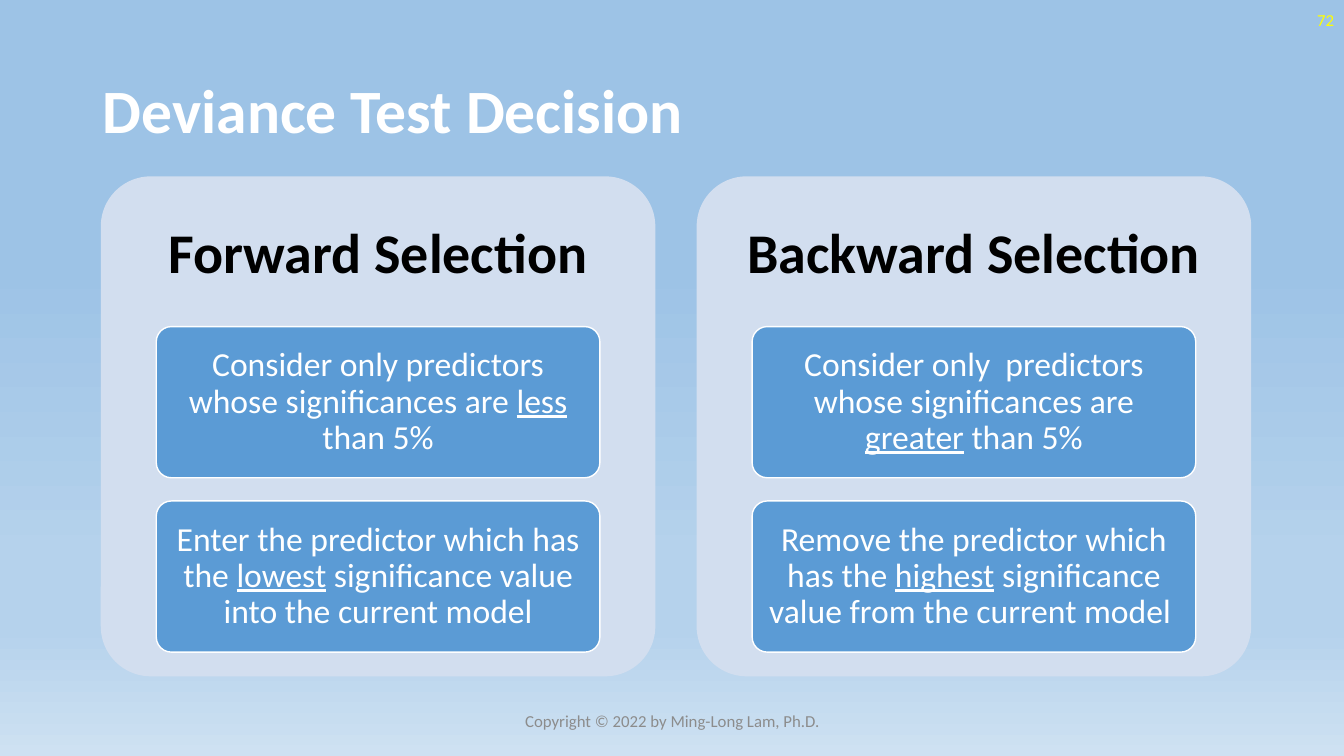
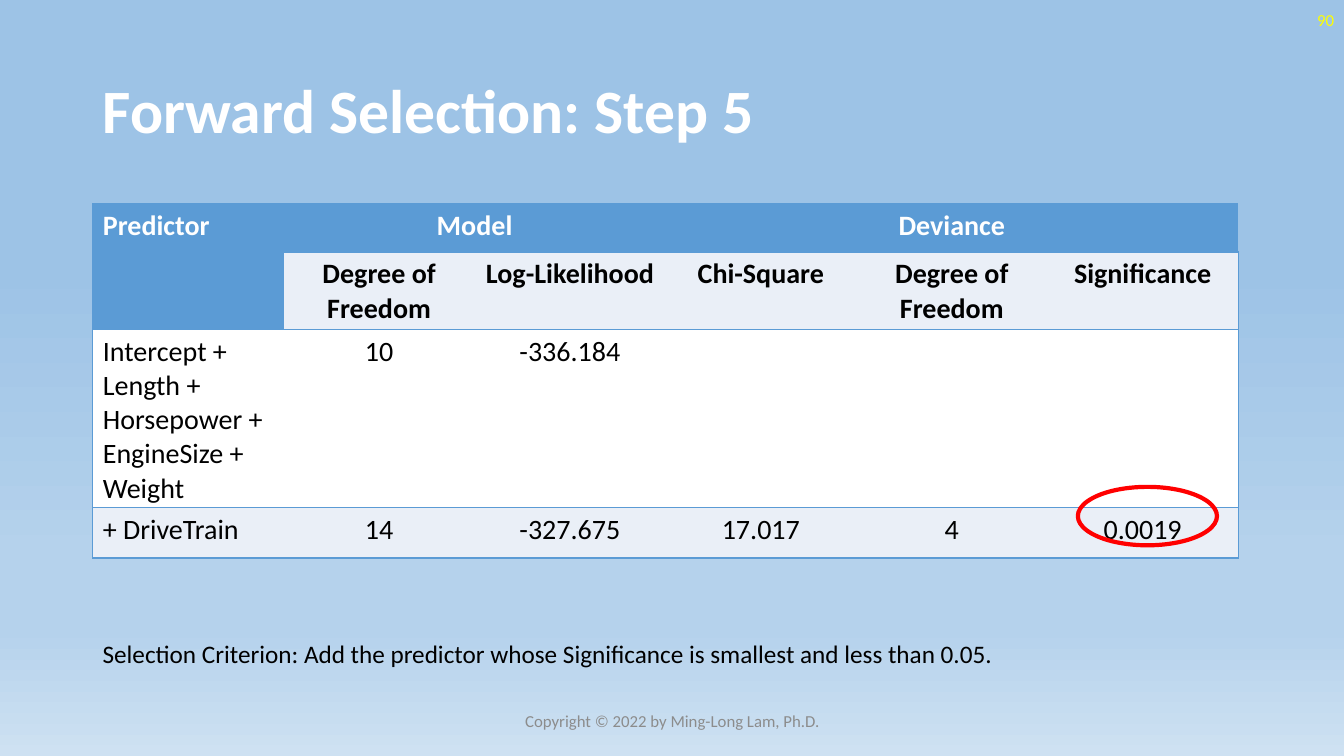
import pptx
import pptx.util
import pptx.dml.color
import pptx.enum.shapes
import pptx.enum.text
import pptx.oxml
import pptx.oxml.ns
import lxml.etree

Inches = pptx.util.Inches
Pt = pptx.util.Pt
qn = pptx.oxml.ns.qn
ALIGN = pptx.enum.text.PP_ALIGN
ANCHOR = pptx.enum.text.MSO_ANCHOR
SHAPE = pptx.enum.shapes.MSO_SHAPE

FONT = "Calibri"
COLORS = {
    "white": "FFFFFF", "black": "000000", "gray": "8C8C8C",
    "yellow": "FFFF00", "red": "FF0000",
    "blue": "5B9BD5", "panel": "D2DEEF", "band": "EAEFF7",
    "sky": "9DC3E6", "haze": "B5D2EC", "pale": "CEE1F2",
}
STOPS = [(35, "sky"), (74, "haze"), (83, "haze"), (100, "pale")]
FOOTER = "Copyright © 2022 by Ming-Long Lam, Ph.D."


def color(name):
    return pptx.dml.color.RGBColor.from_string(COLORS[name])


# Text
def add_run(para, text, size, tint, bold=False, under=False):
    run = para.add_run()
    run.text = text
    font = run.font
    font.name, font.size = FONT, Pt(size)
    font.bold, font.underline = bold, under
    font.color.rgb = color(tint)


def set_frame(frame, anchor, insets):
    frame.word_wrap = True
    frame.vertical_anchor = anchor
    left, top, right, bottom = [Inches(inset) for inset in insets]
    frame.margin_left, frame.margin_top = left, top
    frame.margin_right, frame.margin_bottom = right, bottom


def add_text(slide, box, text, size, tint, align=ALIGN.LEFT, bold=False,
             anchor=ANCHOR.MIDDLE):
    frame = slide.shapes.add_textbox(*map(Inches, box)).text_frame
    set_frame(frame, anchor, (0.1, 0.05, 0.1, 0.05))
    para = frame.paragraphs[0]
    para.alignment = align
    add_run(para, text, size, tint, bold)


# Shapes
def add_shape(slide, kind, box, fill=None, line=None, width=1):
    shape = slide.shapes.add_shape(kind, *map(Inches, box))
    shape.shadow.inherit = False
    if fill:
        shape.fill.solid()
        shape.fill.fore_color.rgb = color(fill)
    else:
        shape.fill.background()
    if line:
        shape.line.color.rgb = color(line)
        shape.line.width = Pt(width)
    else:
        shape.line.fill.background()
    return shape


def add_round(slide, box, fill, line=None):
    shape = add_shape(slide, SHAPE.ROUNDED_RECTANGLE, box, fill, line)
    shape.adjustments[0] = 0.1
    return shape


def add_card(slide, box, parts):
    """Parts alternate between plain and underlined text."""
    frame = add_round(slide, box, "blue", "white").text_frame
    set_frame(frame, ANCHOR.MIDDLE, (0.07, 0.05, 0.07, 0.05))
    para = frame.paragraphs[0]
    para.alignment = ALIGN.CENTER
    para.line_spacing = 0.9
    for index, part in enumerate(parts):
        add_run(para, part, 24, "white", under=index % 2 == 1)


def add_panel(slide, left, head, cards):
    add_round(slide, (left, 1.75, 5.5, 4.96), "panel")
    add_text(slide, (left, 1.75, 5.5, 1.49), head, 40, "black",
             ALIGN.CENTER, True)
    for index, parts in enumerate(cards):
        add_card(slide, (left + 0.55, 3.24 + 1.73 * index, 4.4, 1.5), parts)


# Table
def set_edge(cell, side, tint=None):
    edge = lxml.etree.SubElement(cell._tc.get_or_add_tcPr(), qn("a:ln" + side))
    if tint:
        edge.set("w", str(Pt(1)))
        fill = lxml.etree.SubElement(edge, qn("a:solidFill"))
        lxml.etree.SubElement(fill, qn("a:srgbClr")).set("val", COLORS[tint])
    else:
        lxml.etree.SubElement(edge, qn("a:noFill"))


def fill_cell(cell, text, row, col, last):
    head = row == 0
    set_edge(cell, "L", "blue" if col == 0 else None)
    set_edge(cell, "R", "blue" if col == last else None)
    set_edge(cell, "T", "blue")
    set_edge(cell, "B", "blue")
    cell.fill.solid()
    cell.fill.fore_color.rgb = color(("blue", "band", "white", "band")[row])
    low = row == 1 or (head and col == 0)
    set_frame(cell.text_frame, ANCHOR.BOTTOM if low else ANCHOR.MIDDLE,
              (0.01, 0.01, 0.01, 0))
    if text:
        para = cell.text_frame.paragraphs[0]
        para.alignment = ALIGN.LEFT if col == 0 else ALIGN.CENTER
        add_run(para, text, 20, "white" if head else "black", row < 2)


def add_table(slide, box, rows, heights, spans):
    count = len(rows[0])
    table = slide.shapes.add_table(len(rows), count, *map(Inches, box)).table
    for col in table.columns:
        col.width = Inches(box[2] / count)
    for row, height in zip(table.rows, heights):
        row.height = Inches(height)
    for row, texts in enumerate(rows):
        for col, text in enumerate(texts):
            fill_cell(table.cell(row, col), text, row, col, count - 1)
    for start, end in spans:
        table.cell(*start).merge(table.cell(*end))


# Shared look
def set_theme(deck):
    deck.slide_width, deck.slide_height = Inches(13.33), Inches(7.5)
    master = deck.slide_master
    fill = master.background.fill
    fill.gradient()
    fill.gradient_angle = 270
    stops = master.element.find(".//" + qn("a:gsLst"))
    for stop in list(stops):
        stops.remove(stop)
    for place, tint in STOPS:
        stop = lxml.etree.SubElement(stops, qn("a:gs"))
        stop.set("pos", str(place * 1000))
        lxml.etree.SubElement(stop, qn("a:srgbClr")).set("val", COLORS[tint])
    layout = deck.slide_layouts.get_by_name("Title Only")
    title = layout.placeholders[0]
    title.left, title.top = Inches(0.92), Inches(0.4)
    title.width, title.height = Inches(11.5), Inches(1.45)
    return layout


def add_slide(deck, layout, title, number):
    slide = deck.slides.add_slide(layout)
    frame = slide.shapes.title.text_frame
    set_frame(frame, ANCHOR.MIDDLE, (0.1, 0.05, 0.1, 0.05))
    para = frame.paragraphs[0]
    para.alignment = ALIGN.LEFT
    para.line_spacing = 0.9
    add_run(para, title, 44, "white", True)
    add_text(slide, (10.33, 0, 3, 0.4), number, 12, "yellow", ALIGN.RIGHT)
    add_text(slide, (4.42, 6.95, 4.5, 0.4), FOOTER, 12, "gray", ALIGN.CENTER)
    return slide


def main():
    deck = pptx.Presentation()
    layout = set_theme(deck)

    # Decision rules
    slide = add_slide(deck, layout, "Deviance Test Decision", "72")
    add_panel(slide, 1, "Forward Selection", [
        ("Consider only predictors whose significances are ", "less",
         " than 5%"),
        ("Enter the predictor which has the ", "lowest",
         " significance value into the current model"),
    ])
    add_panel(slide, 6.91, "Backward Selection", [
        ("Consider only  predictors whose significances are ", "greater",
         " than 5%"),
        ("Remove the predictor which has the ", "highest",
         " significance value from the current model "),
    ])

    # Step table
    slide = add_slide(deck, layout, "Forward Selection: Step 5", "90")
    rows = [
        ("Predictor", "Model", "", "Deviance", "", ""),
        ("", "Degree of Freedom", "Log-Likelihood", "Chi-Square",
         "Degree of Freedom", "Significance"),
        ("Intercept + Length + Horsepower + EngineSize + Weight", "10",
         "-336.184", "", "", ""),
        ("+ DriveTrain", "14", "-327.675", "17.017", "4", "0.0019"),
    ]
    spans = [((0, 0), (1, 0)), ((0, 1), (0, 2)), ((0, 3), (0, 5))]
    add_table(slide, (0.92, 2.02, 11.36, 3.38), rows,
              (0.48, 0.69, 1.71, 0.5), spans)
    add_text(slide, (0.92, 6.28, 11.37, 0.4),
             "Selection Criterion: Add the predictor whose Significance is "
             "smallest and less than 0.05.", 18, "black", anchor=ANCHOR.TOP)
    add_shape(slide, SHAPE.OVAL, (10.69, 4.83, 1.38, 0.58), line="red",
              width=3)

    deck.save("out.pptx")


if __name__ == "__main__":
    main()
